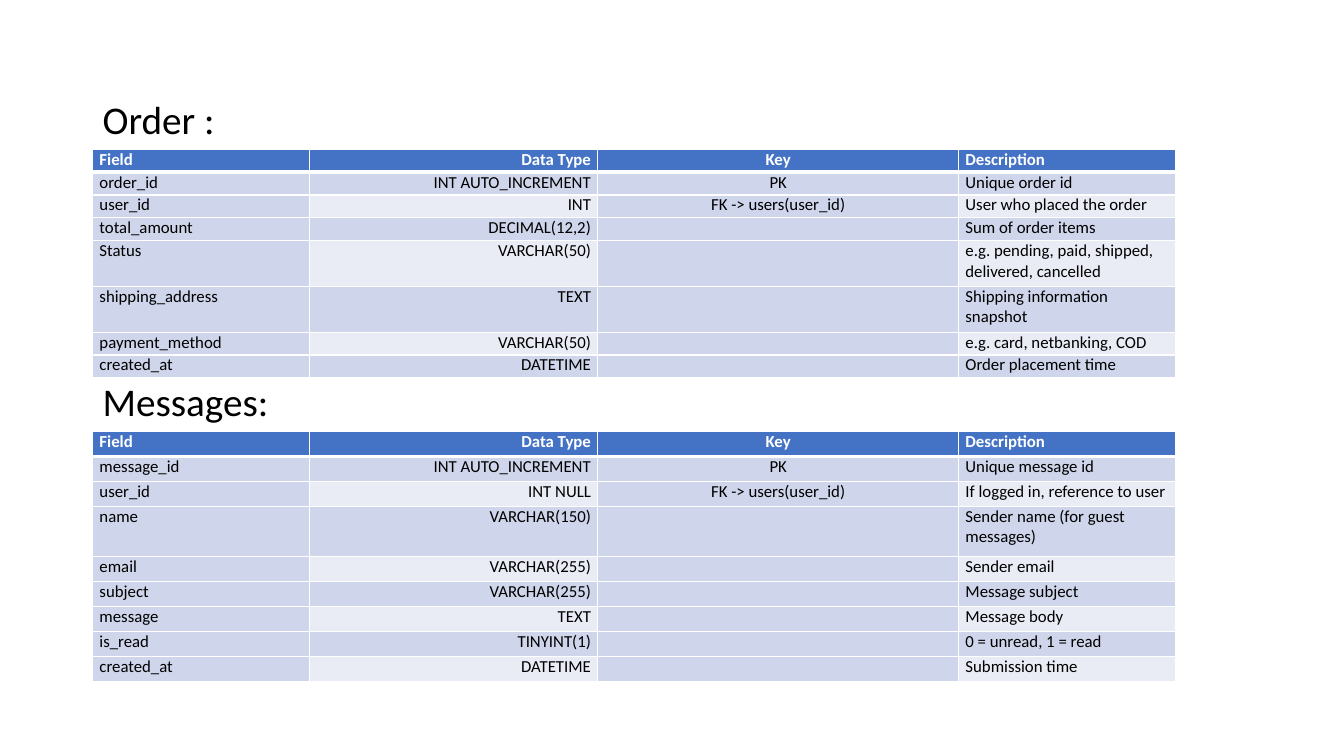
from dataclasses import dataclass

from lxml.etree import SubElement
from pptx import Presentation
from pptx.dml.color import RGBColor
from pptx.enum.text import PP_ALIGN
from pptx.oxml.ns import qn
from pptx.slide import Slide
from pptx.table import _Cell
from pptx.text.text import _Paragraph
from pptx.util import Pt

WHITE = RGBColor(0xFF, 0xFF, 0xFF)
BLACK = RGBColor(0x00, 0x00, 0x00)
HEADER_BLUE = RGBColor(0x44, 0x72, 0xC4)
BAND_DARK = RGBColor(0xCF, 0xD5, 0xEA)
BAND_LIGHT = RGBColor(0xE9, 0xEB, 0xF5)

FONT_NAME = "Calibri"
LEFT = 66.2
COLUMN_UNIT = 51.55
COLUMN_UNITS = (3, 4, 5, 3)
TABLE_WIDTH = COLUMN_UNIT * sum(COLUMN_UNITS)
ALIGNMENTS = (PP_ALIGN.LEFT, PP_ALIGN.RIGHT, PP_ALIGN.CENTER, PP_ALIGN.LEFT)
HEADINGS = ("Field", "Data Type", "Key", "Description")
THIN, THICK = 1, 3


@dataclass(frozen=True)
class Field:
    name: str
    data_type: str
    key: str
    description: str
    lines: int = 1


@dataclass(frozen=True)
class Schema:
    title: str
    title_top: float
    table_top: float
    line_height: float
    fields: tuple[Field, ...]


SCHEMAS = (
    Schema("Order :", 68.4, 106.6, 16.34, (
        Field("order_id", "INT AUTO_INCREMENT", "PK", "Unique order id"),
        Field("user_id", "INT", "FK -> users(user_id)", "User who placed the order"),
        Field("total_amount", "DECIMAL(12,2)", "", "Sum of order items"),
        Field("Status", "VARCHAR(50)", "",
              "e.g. pending, paid, shipped, delivered, cancelled", 2),
        Field("shipping_address", "TEXT", "", "Shipping information snapshot", 2),
        Field("payment_method", "VARCHAR(50)", "", "e.g. card, netbanking, COD"),
        Field("created_at", "DATETIME", "", "Order placement time"),
    )),
    Schema("Messages:", 269.8, 308.2, 17.86, (
        Field("message_id", "INT AUTO_INCREMENT", "PK", "Unique message id"),
        Field("user_id", "INT NULL", "FK -> users(user_id)",
              "If logged in, reference to user"),
        Field("name", "VARCHAR(150)", "", "Sender name (for guest messages)", 2),
        Field("email", "VARCHAR(255)", "", "Sender email"),
        Field("subject", "VARCHAR(255)", "", "Message subject"),
        Field("message", "TEXT", "", "Message body"),
        Field("is_read", "TINYINT(1)", "", "0 = unread, 1 = read"),
        Field("created_at", "DATETIME", "", "Submission time"),
    )),
)


def set_font(paragraph: _Paragraph, size: float, color: RGBColor, bold: bool) -> None:
    paragraph.font.name = FONT_NAME
    paragraph.font.size = Pt(size)
    paragraph.font.color.rgb = color
    paragraph.font.bold = bold


def set_borders(cell: _Cell, top: int, bottom: int) -> None:
    properties = cell._tc.get_or_add_tcPr()
    widths = {"a:lnL": THIN, "a:lnR": THIN, "a:lnT": top, "a:lnB": bottom}
    for index, (tag, width) in enumerate(widths.items()):
        line = SubElement(properties, qn(tag), w=str(Pt(width)))
        fill = SubElement(line, qn("a:solidFill"))
        SubElement(fill, qn("a:srgbClr"), val=str(WHITE))
        properties.insert(index, line)


def fill_color(row: int, column: int) -> RGBColor:
    if row == 0:
        return HEADER_BLUE
    return BAND_LIGHT if row % 2 == 0 and column % 2 == 1 else BAND_DARK


def draw_cell(cell: _Cell, text: str, row: int, column: int) -> None:
    cell.margin_left = cell.margin_right = Pt(4.9)
    cell.margin_top = cell.margin_bottom = Pt(0)
    cell.fill.solid()
    cell.fill.fore_color.rgb = fill_color(row, column)
    set_borders(cell, THICK if row == 1 else THIN, THICK if row == 0 else THIN)
    cell.text = text
    paragraph = cell.text_frame.paragraphs[0]
    paragraph.alignment = ALIGNMENTS[column]
    paragraph.space_after = Pt(1.8)
    set_font(paragraph, 12, WHITE if row == 0 else BLACK, row == 0)
    if not text:
        SubElement(paragraph._p, qn("a:endParaRPr"), sz="1200")


def draw_title(slide: Slide, schema: Schema) -> None:
    box = slide.shapes.add_textbox(
        Pt(LEFT), Pt(schema.title_top), Pt(TABLE_WIDTH), Pt(38)
    )
    box.text_frame.word_wrap = True
    paragraph = box.text_frame.paragraphs[0]
    paragraph.text = schema.title
    paragraph.line_spacing = 0.9
    set_font(paragraph, 28, BLACK, False)


def draw_table(slide: Slide, schema: Schema) -> None:
    rows = [(HEADINGS, 1)] + [
        ((field.name, field.data_type, field.key, field.description), field.lines)
        for field in schema.fields
    ]
    height = schema.line_height * sum(lines for _, lines in rows)
    table = slide.shapes.add_table(
        len(rows), len(HEADINGS),
        Pt(LEFT), Pt(schema.table_top), Pt(TABLE_WIDTH), Pt(height),
    ).table
    for column, units in zip(table.columns, COLUMN_UNITS):
        column.width = Pt(COLUMN_UNIT * units)
    for row, (texts, lines) in enumerate(rows):
        table.rows[row].height = Pt(schema.line_height * lines)
        for column, text in enumerate(texts):
            draw_cell(table.cell(row, column), text, row, column)


def main() -> None:
    presentation = Presentation()
    presentation.slide_width = Pt(960)
    presentation.slide_height = Pt(540)
    slide = presentation.slides.add_slide(presentation.slide_layouts[6])
    for schema in SCHEMAS:
        draw_title(slide, schema)
        draw_table(slide, schema)
    presentation.save("out.pptx")


if __name__ == "__main__":
    main()
